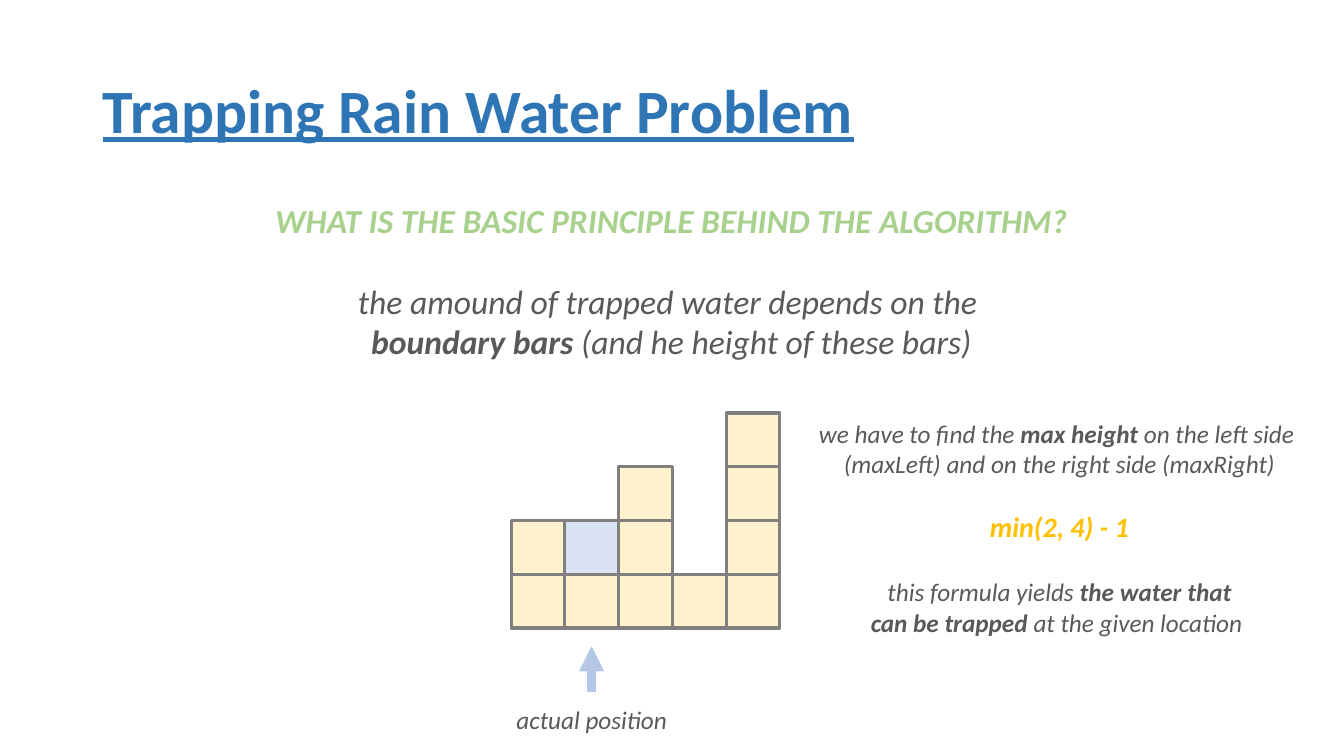
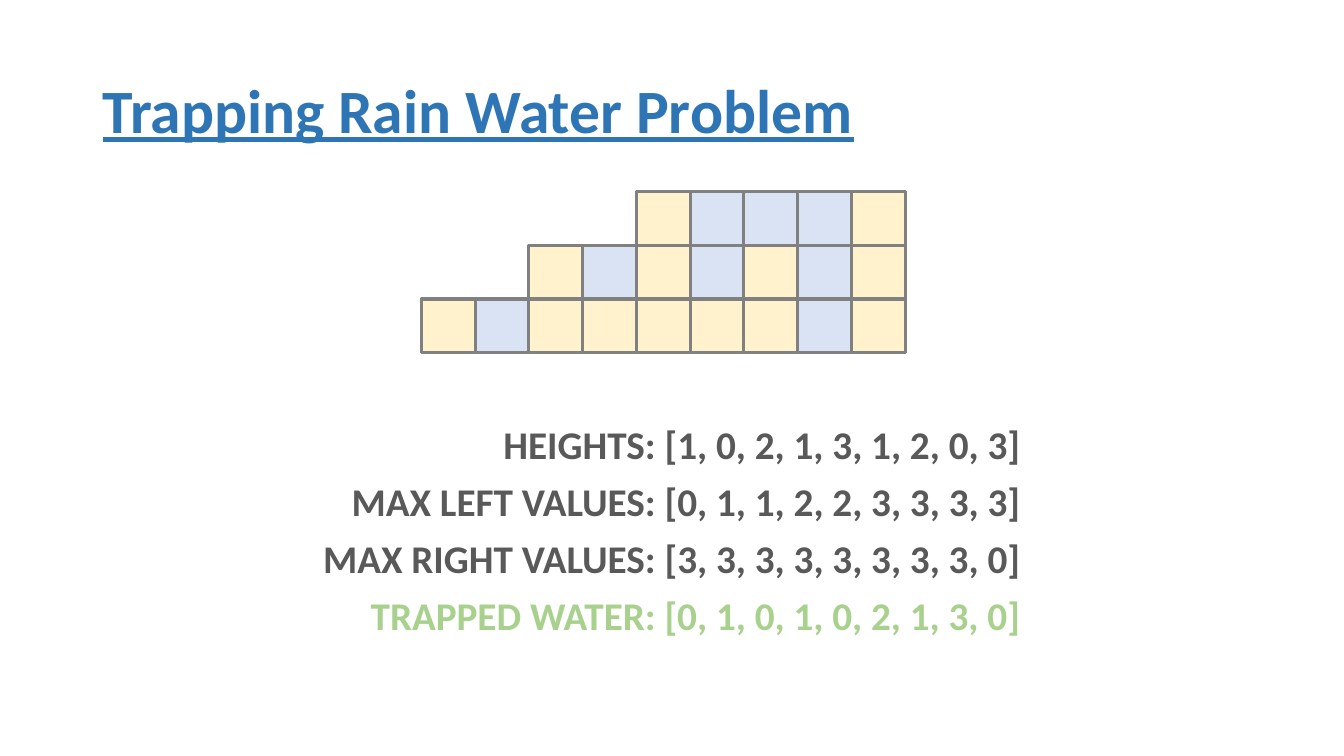
from lxml.etree import SubElement
from pptx import Presentation
from pptx.dml.color import RGBColor as RGB
from pptx.enum.shapes import MSO_CONNECTOR as LINE, MSO_SHAPE as SHAPE
from pptx.enum.text import MSO_ANCHOR as ANCHOR, MSO_AUTO_SIZE as FIT, PP_ALIGN as ALIGN
from pptx.oxml.ns import qn
from pptx.util import Inches, Pt


class Theme:
    font = "Calibri"
    blue, green, gold, gray = "2E75B6", "A9D18E", "FFC000", "595959"
    bar, water, edge, arrow = "FFF2CC", "DAE3F3", "808080", "B4C7E7"
    title, data, lead, key, note = 44, 28, 24, 20, 18


WIDE, HIGH = 13.333, 7.5
CELL = WIDE / 25
TITLE = "Trapping Rain Water Problem"

# Paragraphs: text (bold between asterisks), size, colour, space before
LEAD = [
    ("*WHAT IS THE BASIC PRINCIPLE BEHIND THE ALGORITHM?*", Theme.lead, Theme.green, 0),
    ("the amound of trapped water depends on the ", Theme.lead, Theme.gray, 29),
    ("*boundary bars *(and he height of these bars)", Theme.lead, Theme.gray, 0),
]
NOTES = [
    ("we have to find the* max height* on the left side ", Theme.note, Theme.gray, 0),
    ("(maxLeft) and on the right side (maxRight)", Theme.note, Theme.gray, 0),
    ("*min(2, 4) - 1*", Theme.key, Theme.gold, 22),
    ("this formula yields *the water that*", Theme.note, Theme.gray, 24),
    ("*can be trapped *at the given location ", Theme.note, Theme.gray, 0),
]
HERE = [("actual position", Theme.note, Theme.gray, 0)]

DEMO, SPOT = [2, 1, 3, 1, 4], 1
BARS = [1, 0, 2, 1, 3, 1, 2, 0, 3]
LEFT = [max(BARS[:i], default=0) for i in range(len(BARS))]
RIGHT = [max(BARS[i + 1:], default=0) for i in range(len(BARS))]
WATER = [max(min(a, b) - h, 0) for a, b, h in zip(LEFT, RIGHT, BARS)]
ROWS = [
    ("HEIGHTS", BARS, Theme.gray),
    ("MAX LEFT VALUES", LEFT, Theme.gray),
    ("MAX RIGHT VALUES", RIGHT, Theme.gray),
    ("TRAPPED WATER", WATER, Theme.green),
]


def place(shape, *box):
    shape.left, shape.top, shape.width, shape.height = map(Inches, box)


def style(font, size, color):
    font.name, font.size = Theme.font, Pt(size)
    font.color.rgb = RGB.from_string(color)


def write(shape, paras, align=ALIGN.CENTER, italic=True, wrap=True):
    frame = shape.text_frame
    frame.word_wrap, frame.auto_size = wrap, FIT.NONE
    for i, (text, size, color, gap) in enumerate(paras):
        para = frame.add_paragraph() if i else frame.paragraphs[0]
        para.alignment, para.space_before = align, Pt(gap)
        props = para._p.get_or_add_pPr()
        props.set("marL", "0")
        props.set("indent", "0")
        SubElement(props, qn("a:buNone"))
        style(para.font, size, color)
        para.font.italic = italic
        for j, part in enumerate(text.split("*")):
            if part:
                run = para.add_run()
                run.text, run.font.bold = part, j % 2 == 1


def start(deck):
    """Add a slide with the shared title; return it and its body."""
    slide = deck.slides.add_slide(deck.slide_layouts[1])
    head, body = slide.placeholders
    place(head, 0.92, 0.4, 11.5, 1.45)
    head.text_frame.vertical_anchor = ANCHOR.MIDDLE
    head.text_frame.text = TITLE
    para = head.text_frame.paragraphs[0]
    para.alignment, para.line_spacing = ALIGN.LEFT, 0.9
    style(para.font, Theme.title, Theme.blue)
    para.font.bold = para.font.underline = True
    return slide, body


def stack(slide, left, base, bars, water):
    """Draw unit cells upward from base, water above each bar."""
    cells = [(col, row, row >= h) for col, (h, w) in enumerate(zip(bars, water))
             for row in range(h + w)]
    for col, row, wet in sorted(cells, key=lambda cell: cell[2]):
        box = slide.shapes.add_shape(SHAPE.RECTANGLE, 0, 0, 0, 0)
        place(box, left + col * CELL, base - (row + 1) * CELL, CELL, CELL)
        box.shadow.inherit = False
        box.fill.solid()
        box.fill.fore_color.rgb = RGB.from_string(Theme.water if wet else Theme.bar)
        box.line.color.rgb = RGB.from_string(Theme.edge)
        box.line.width = Pt(2.25)


def label(slide, box, paras):
    write(slide.shapes.add_textbox(*map(Inches, box)), paras, wrap=False)


def point(slide, x, low, top):
    arrow = slide.shapes.add_connector(LINE.STRAIGHT, *map(Inches, (x, low, x, top)))
    arrow.line.color.rgb = RGB.from_string(Theme.arrow)
    arrow.line.width = Pt(6)
    SubElement(arrow.line._get_or_add_ln(), qn("a:tailEnd"), type="triangle")
    SubElement(arrow._element.spPr, qn("a:effectLst"))


def idea(deck):
    slide, body = start(deck)
    place(body, 1.07, 1.93, 11.18, 2)
    write(body, LEAD)
    left, base = 5.07, 6.23
    stack(slide, left, base, DEMO, [int(i == SPOT) for i in range(len(DEMO))])
    x = left + (SPOT + 0.5) * CELL
    point(slide, x, base + 0.64, base + 0.18)
    label(slide, (x - 0.85, 6.94, 1.7, 0.4), HERE)
    label(slide, (7.99, 4.1, 5.04, 2.66), NOTES)


def result(deck):
    slide, body = start(deck)
    stack(slide, 4.18, 3.5, BARS, WATER)
    place(body, 2.22, 4.12, 8, 2.4)
    paras = [(f"*{name}: {vals}*", Theme.data, color, 7 if i else 0)
             for i, (name, vals, color) in enumerate(ROWS)]
    write(body, paras, ALIGN.RIGHT, italic=False)


def main():
    deck = Presentation()
    deck.slide_width, deck.slide_height = Inches(WIDE), Inches(HIGH)
    idea(deck)
    result(deck)
    deck.save("out.pptx")


if __name__ == "__main__":
    main()
